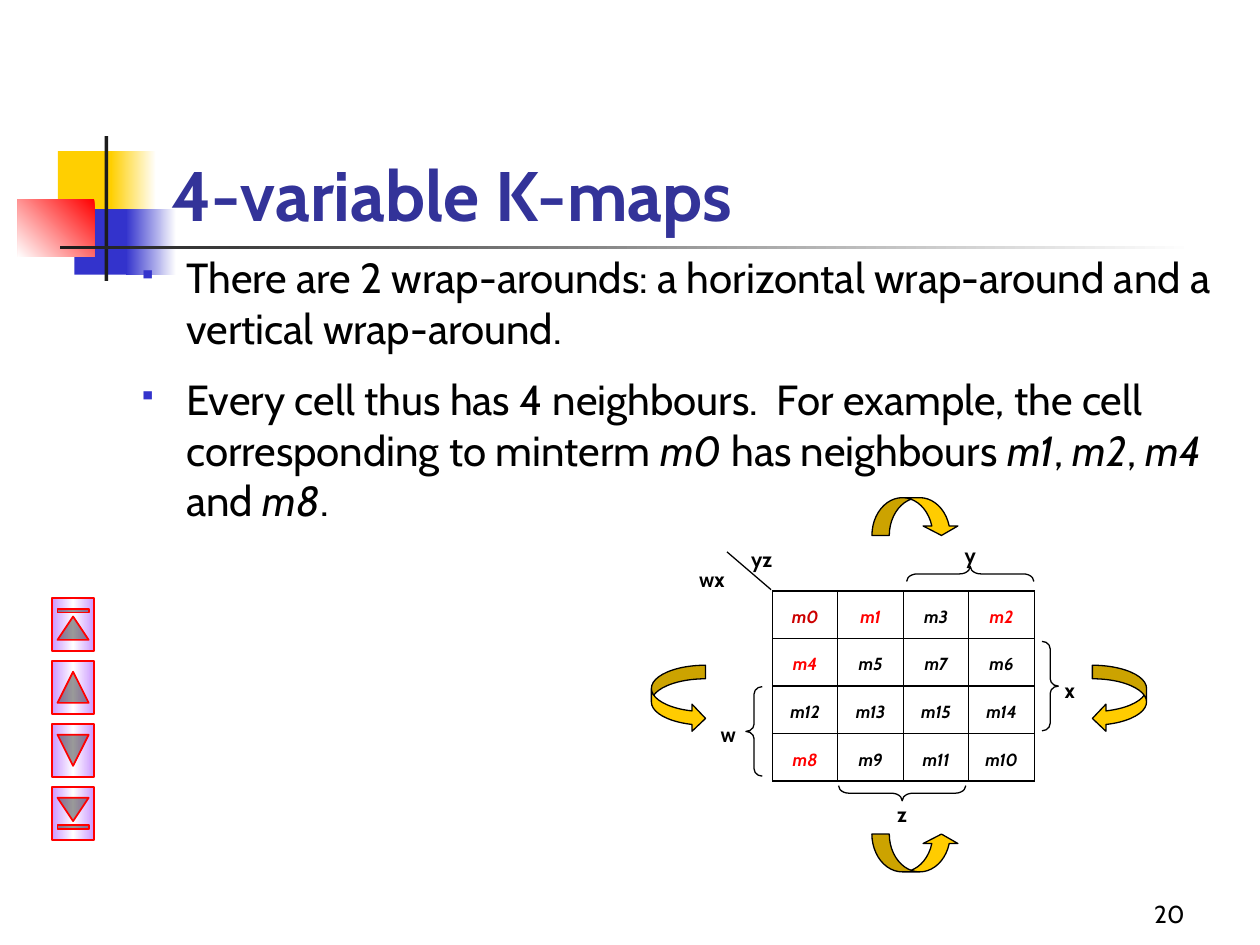
from lxml import etree
from pptx import Presentation
from pptx import util as u
from pptx.dml.color import RGBColor
from pptx.enum import shapes, text
from pptx.oxml import parse_xml
from pptx.oxml.ns import nsdecls, qn

FONT = "Cabin"
BLACK = RGBColor(0x00, 0x00, 0x00)
DARK = RGBColor(0x1C, 0x1C, 0x1C)
WHITE = RGBColor(0xFF, 0xFF, 0xFF)
YELLOW = RGBColor(0xFF, 0xCF, 0x01)
BLUE = RGBColor(0x33, 0x33, 0xCC)
NAVY = RGBColor(0x33, 0x33, 0x99)
RED = RGBColor(0xFF, 0x00, 0x00)
CRIMSON = RGBColor(0xCC, 0x00, 0x00)
GOLD = RGBColor(0xFF, 0xCC, 0x00)
LILAC = RGBColor(0xCC, 0x99, 0xFF)
KIND = shapes.MSO_SHAPE
ALIGN = text.PP_ALIGN
ANCHOR = text.MSO_ANCHOR

deck = Presentation()
deck.slide_width, deck.slide_height = u.Inches(10), u.Inches(7.5)
page = deck.slides.add_slide(deck.slide_layouts[6])


def add_figure(kind, place, fill=None, angle=None, line=None, width=0.75):
    figure = page.shapes.add_shape(kind, *map(u.Inches, place))
    figure.shadow.inherit = False
    if fill is None:
        figure.fill.background()
    elif angle is None:
        figure.fill.solid()
        figure.fill.fore_color.rgb = fill
    else:
        stops = "".join(
            f'<a:gs pos="{100000 * i // (len(fill) - 1)}"><a:srgbClr val="{color}"/></a:gs>'
            for i, color in enumerate(fill))
        gradient = parse_xml(
            f'<a:gradFill {nsdecls("a")} rotWithShape="1"><a:gsLst>{stops}</a:gsLst>'
            f'<a:lin ang="{angle * 60000}" scaled="0"/></a:gradFill>')
        figure._element.spPr.insert(2, gradient)
    if line is None:
        figure.line.fill.background()
    else:
        figure.line.color.rgb = line
        figure.line.width = u.Pt(width)
    return figure


def add_text(place, words, size, color=BLACK, bold=False, align=ALIGN.LEFT, anchor=ANCHOR.TOP):
    box = page.shapes.add_textbox(*map(u.Inches, place))
    frame = box.text_frame
    frame.word_wrap = True
    frame.vertical_anchor = anchor
    para = frame.paragraphs[0]
    para.text = words
    para.alignment = align
    para.font.name = FONT
    para.font.size = u.Pt(size)
    para.font.bold = bold
    para.font.color.rgb = color


for place, fill, angle in [
    ((0.46, 1.2, 0.48, 0.52), YELLOW, None),
    ((0.88, 1.2, 0.36, 0.52), (WHITE, YELLOW), 180),
    ((0.59, 1.66, 0.46, 0.52), BLUE, None),
    ((1, 1.66, 0.4, 0.52), (WHITE, BLUE), 180),
    ((0.14, 1.58, 0.61, 0.46), (RED, WHITE), 135),
    ((0.83, 1.08, 0.03, 1.15), DARK, None),
    ((0.48, 1.95, 9, 0.03), (WHITE, DARK), 180),
]:
    add_figure(KIND.RECTANGLE, place, fill, angle)

add_text((1.26, 0.67, 8.52, 1.25), "4-variable K-maps", 40, NAVY, True, anchor=ANCHOR.BOTTOM)

body = page.shapes.add_textbox(u.Inches(1), u.Inches(1.95), u.Inches(8.75), u.Inches(2.26))
body.text_frame.word_wrap = True
points = [
    ["There are 2 wrap-arounds: a horizontal wrap-around and a vertical wrap-around."],
    ["Every cell thus has 4 neighbours.  For example, the cell corresponding to minterm ",
     "m0", " has neighbours ", "m1", ", ", "m2", ", ", "m4", " and ", "m8", "."],
]
for number, spans in enumerate(points):
    para = body.text_frame.add_paragraph() if number else body.text_frame.paragraphs[0]
    settings = para._p.get_or_add_pPr()
    settings.set("marL", str(u.Inches(0.38)))
    settings.set("indent", str(-u.Inches(0.38)))
    if number:
        para.space_before = u.Pt(12)
    color = etree.SubElement(settings, qn("a:buClr"))
    etree.SubElement(color, qn("a:srgbClr"), val=str(BLUE))
    etree.SubElement(settings, qn("a:buSzPct"), val="60000")
    etree.SubElement(settings, qn("a:buChar"), char="▪")
    para.font.name = FONT
    para.font.size = u.Pt(24)
    para.font.color.rgb = BLACK
    for order, words in enumerate(spans):
        span = para.add_run()
        span.text = words
        if order % 2:
            span.font.italic = True

minterms = [(0, 1, 3, 2), (4, 5, 7, 6), (12, 13, 15, 14), (8, 9, 11, 10)]
colors = {0: CRIMSON, 1: RED, 2: RED, 4: RED, 8: RED}
table_frame = page.shapes.add_table(
    4, 4, u.Inches(6.13), u.Inches(4.69), u.Inches(2.08), u.Inches(1.51))
kmap = table_frame.table
kmap.first_row = kmap.horz_banding = False
for row, numbers in enumerate(minterms):
    for column, minterm in enumerate(numbers):
        cell = kmap.cell(row, column)
        cell.vertical_anchor = ANCHOR.MIDDLE
        cell.margin_top, cell.margin_bottom = u.Inches(0.08), u.Inches(0.04)
        for side in ("a:lnL", "a:lnR", "a:lnT", "a:lnB"):
            border = etree.SubElement(cell._tc.get_or_add_tcPr(), qn(side), w=str(u.Pt(0.75)))
            paint = etree.SubElement(border, qn("a:solidFill"))
            etree.SubElement(paint, qn("a:srgbClr"), val=str(BLACK))
        cell.fill.background()
        para = cell.text_frame.paragraphs[0]
        para.text = f"m{minterm}"
        para.alignment = ALIGN.CENTER
        para.font.name = FONT
        para.font.size = u.Pt(10)
        para.font.bold = para.font.italic = True
        para.font.color.rgb = colors.get(minterm, BLACK)

diagonal = page.shapes.add_connector(
    shapes.MSO_CONNECTOR.STRAIGHT, u.Inches(6.12), u.Inches(4.68), u.Inches(5.77), u.Inches(4.38))
diagonal.line.color.rgb = BLACK
diagonal.line.width = u.Pt(0.75)
etree.SubElement(diagonal._element.spPr, qn("a:effectLst"))

for kind, place, turn, curl in [
    (KIND.LEFT_BRACE, (5.92, 5.45, 0.13, 0.71), 0, 0.45),
    (KIND.RIGHT_BRACE, (8.27, 5.09, 0.13, 0.71), 0, 0.45),
    (KIND.LEFT_BRACE, (7.64, 4.05, 0.12, 1.01), 90, 0.7),
    (KIND.LEFT_BRACE, (7.1, 5.79, 0.12, 1.01), 270, 0.7),
]:
    brace = add_figure(kind, place, line=BLACK)
    brace.rotation = turn
    brace.adjustments[0] = curl

for words, place in [
    ("w", (5.59, 5.68, 0.38, 0.3)),
    ("x", (8.3, 5.33, 0.38, 0.3)),
    ("y", (7.51, 4.26, 0.38, 0.24)),
    ("z", (6.97, 6.31, 0.38, 0.23)),
    ("wx", (5.33, 4.45, 0.64, 0.27)),
    ("yz", (5.82, 4.29, 0.45, 0.24)),
]:
    add_text(place, words, 12, bold=True, align=ALIGN.CENTER)

for kind, place, thickness, head in [
    (KIND.CURVED_RIGHT_ARROW, (5.17, 5.28, 0.43, 0.53), 0.25, 0.5),
    (KIND.CURVED_LEFT_ARROW, (8.67, 5.28, 0.43, 0.53), 0.25, 0.5),
    (KIND.CURVED_UP_ARROW, (6.92, 6.62, 0.69, 0.3), 0.46, 0.92),
    (KIND.CURVED_DOWN_ARROW, (6.92, 3.95, 0.69, 0.3), 0.46, 0.92),
]:
    arrow = add_figure(kind, place, GOLD, line=BLACK)
    arrow.adjustments[0] = thickness
    arrow.adjustments[1] = head

for step, kind in enumerate([
    KIND.ACTION_BUTTON_BEGINNING,
    KIND.ACTION_BUTTON_BACK_OR_PREVIOUS,
    KIND.ACTION_BUTTON_FORWARD_OR_NEXT,
    KIND.ACTION_BUTTON_END,
]):
    button = add_figure(
        kind, (0.37, 4.79 + 0.5 * step, 0.42, 0.33), (LILAC, WHITE, LILAC), 90, RED, 1)
    button.rotation = 90

add_text((7.42, 6.92, 2.08, 0.5), "20", 14, align=ALIGN.RIGHT, anchor=ANCHOR.BOTTOM)

deck.save("out.pptx")
